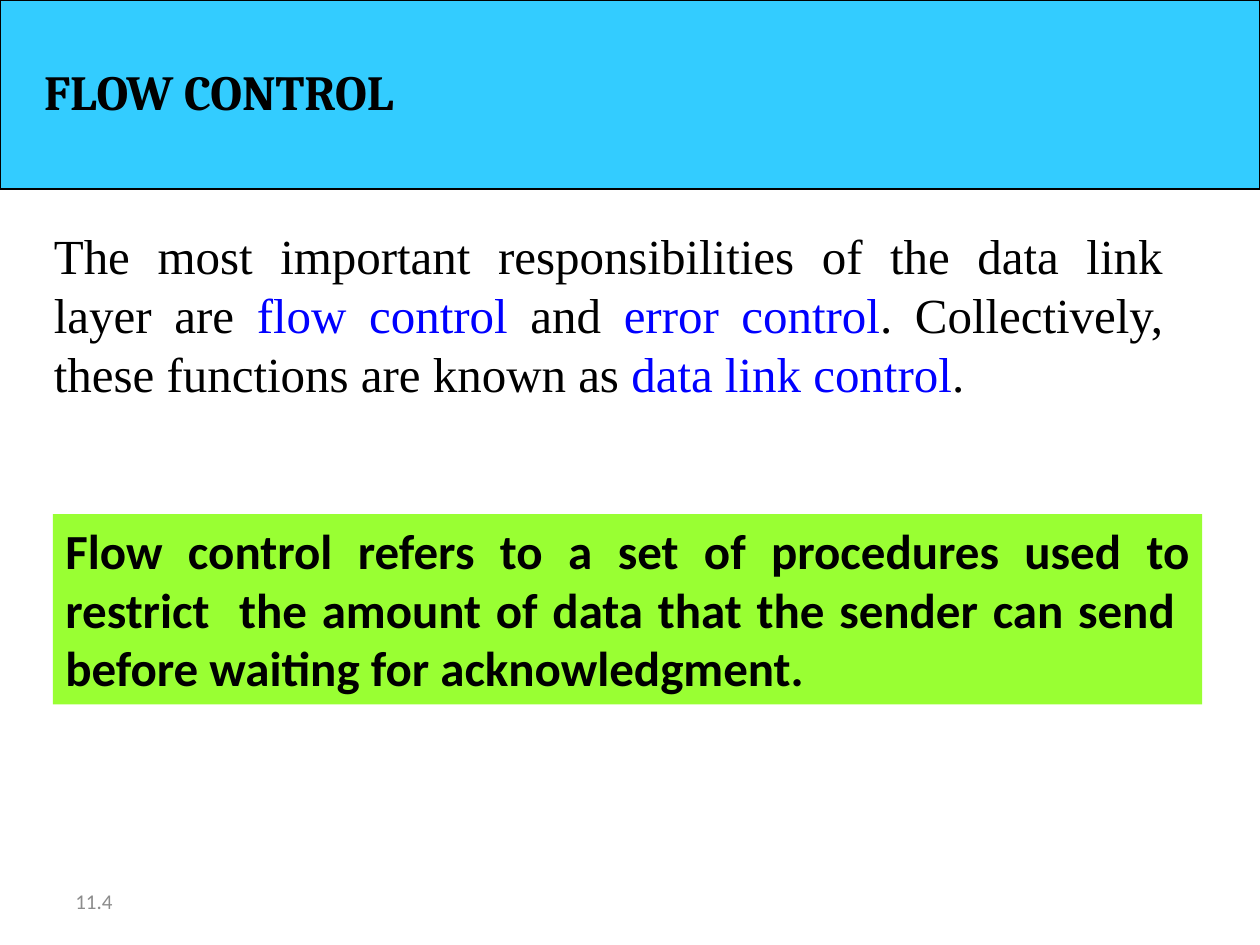
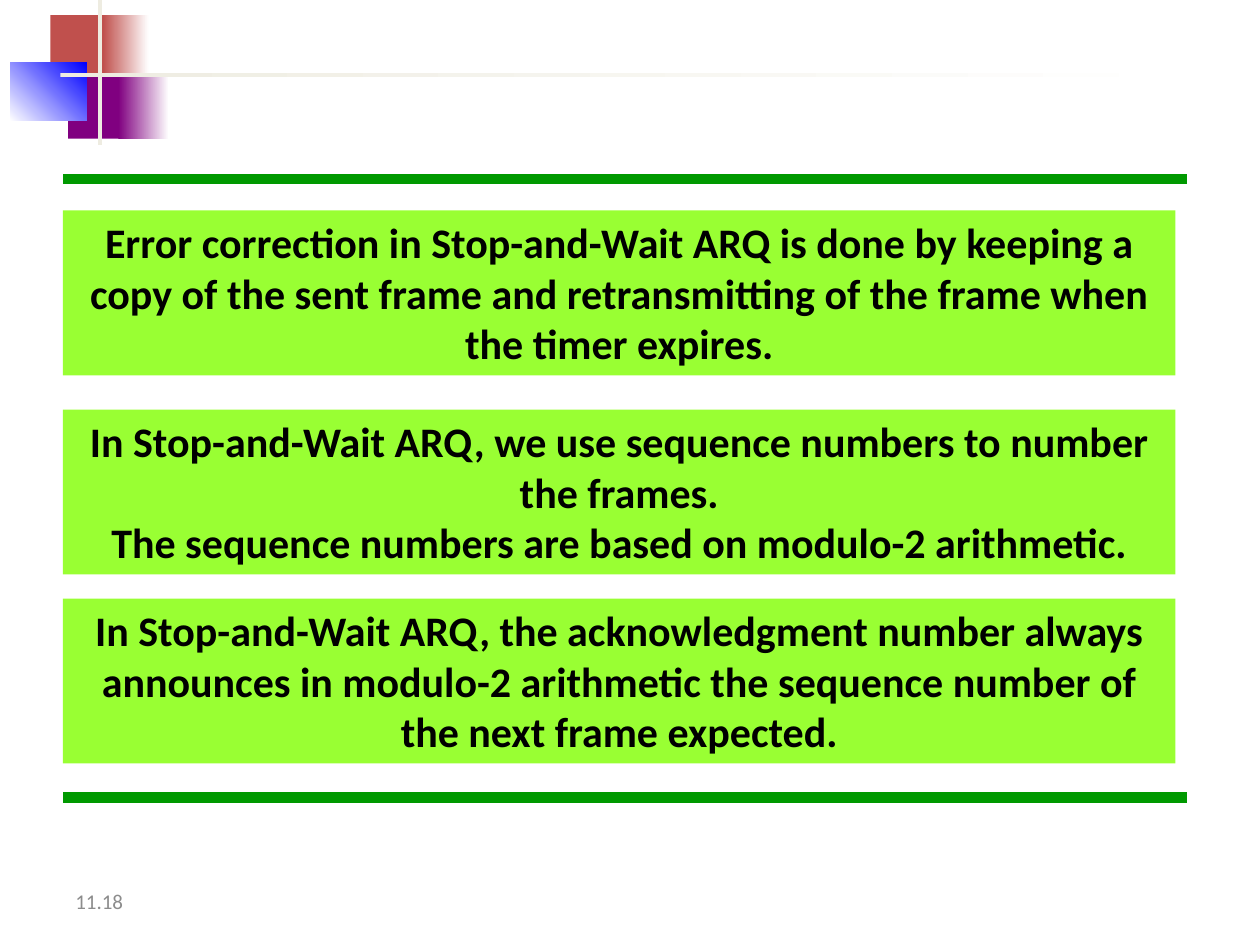
from lxml import etree
from pptx import Presentation
from pptx.dml.color import RGBColor
from pptx.enum.shapes import MSO_CONNECTOR, MSO_SHAPE
from pptx.enum.text import MSO_ANCHOR, MSO_AUTO_SIZE, PP_ALIGN
from pptx.oxml.ns import qn
from pptx.util import Inches, Pt

RECT, LINE = MSO_SHAPE.RECTANGLE, MSO_CONNECTOR.STRAIGHT
LEFT, CENTER, JUSTIFY = PP_ALIGN.LEFT, PP_ALIGN.CENTER, PP_ALIGN.JUSTIFY
TOP, MIDDLE = MSO_ANCHOR.TOP, MSO_ANCHOR.MIDDLE
GROW, FIXED = MSO_AUTO_SIZE.SHAPE_TO_FIT_TEXT, MSO_AUTO_SIZE.NONE
TITLE_ONLY, BLANK = 5, 6

BLACK = RGBColor(0, 0, 0)
WHITE = RGBColor(0xFF, 0xFF, 0xFF)
GREY = RGBColor(0x8C, 0x8C, 0x8C)
SKY = RGBColor(0x33, 0xCC, 0xFF)
BLUE = RGBColor(0, 0, 0xFF)
LIME = RGBColor(0x99, 0xFF, 0x33)
GREEN = RGBColor(0, 0x99, 0)
RED = RGBColor(0xC0, 0x50, 0x4D)
PURPLE = RGBColor(0x80, 0, 0x80)
CREAM = RGBColor(0xEE, 0xEC, 0xE1)

BODY, HEAD, SERIF = "Calibri", "Cambria", "Times New Roman"


def place(shape, box):
    shape.left, shape.top, shape.width, shape.height = map(Inches, box)


def write(shape, text, font=BODY, size=28, color=BLACK, key=BLUE, bold=False,
          align=LEFT, anchor=TOP, wrap=True, fit=GROW):
    """Fill a shape with text; words between asterisks take the key colour."""
    frame = shape.text_frame
    frame.word_wrap, frame.auto_size = wrap, fit
    frame.vertical_anchor = anchor
    for n, line in enumerate(text.split("\n")):
        para = frame.add_paragraph() if n else frame.paragraphs[0]
        para.alignment = align
        for i, part in enumerate(line.split("*")):
            run = para.add_run()
            run.text = part
            run.font.name, run.font.size = font, Pt(size)
            run.font.bold = bold
            run.font.color.rgb = key if i % 2 else color


def block(slide, box, fill, end=None, angle=0, edge=None):
    """Add a rectangle, shaded from fill to end when end is given."""
    shape = slide.shapes.add_shape(RECT, *map(Inches, box))
    shape.shadow.inherit = False
    if end is None:
        shape.fill.solid()
        shape.fill.fore_color.rgb = fill
    else:
        shape.fill.gradient()
        shape.fill.gradient_angle = angle
        for stop, color in zip(shape.fill.gradient_stops, (fill, end)):
            stop.color.rgb = color
    if edge is None:
        shape.line.fill.background()
    else:
        shape.line.color.rgb = edge
        shape.line.width = Pt(0.75)
    return shape


def note(slide, box, text, **form):
    write(block(slide, box, LIME), text, bold=True, **form)


def label(slide, box, text, **form):
    write(slide.shapes.add_textbox(*map(Inches, box)), text, **form)


def number(slide, text):
    label(slide, (0.5, 6.95, 2.33, 0.4), text, size=12, color=GREY,
          anchor=MIDDLE, fit=FIXED)


def header(slide, box, text):
    """Put the title on a band that fills the box."""
    x, y, _, _ = box
    band = block(slide, box, SKY, edge=BLACK)
    title = slide.shapes.title
    title.element.addprevious(band.element)
    place(title, (x + 0.25, y + 0.44, 3.11, 0.57))
    write(title, text, font=HEAD, bold=True, wrap=False)


def rule(slide, x, y, width):
    line = slide.shapes.add_connector(
        LINE, Inches(x), Inches(y), Inches(x + width), Inches(y))
    line.line.color.rgb = GREEN
    line.line.width = Pt(6)
    etree.SubElement(line.element.spPr, qn("a:effectLst"))


def emblem(slide, x, y):
    """Draw the corner squares and the crossing bars."""
    parts = [
        ((0.32, 0.12, 0.48, 0.52), RED, None, 0),
        ((0.74, 0.12, 0.36, 0.52), RED, WHITE, 0),
        ((0.46, 0.58, 0.46, 0.52), PURPLE, None, 0),
        ((0.86, 0.58, 0.4, 0.52), PURPLE, WHITE, 0),
        ((0, 0.5, 0.61, 0.46), WHITE, BLUE, 45),
        ((0.7, 0, 0.03, 1.15), CREAM, None, 0),
        ((0.4, 0.58, 9, 0.03), CREAM, WHITE, 0),
    ]
    for (dx, dy, w, h), fill, end, angle in parts:
        block(slide, (x + dx, y + dy, w, h), fill, end, angle)


def notes(slide, box, items):
    """Set notes, each at its own drop, between two rules."""
    x, y, w, h = box
    for edge in (y, y + h):
        rule(slide, x, edge, w)
    for drop, text in items:
        note(slide, (x, y + drop, w - 0.09, 1.31), text, size=24, align=CENTER)


def flow(deck):
    slide = deck.slides.add_slide(deck.slide_layouts[TITLE_ONLY])
    number(slide, "11.4")
    header(slide, (0, 0, 10, 1.5), "FLOW CONTROL")
    label(slide, (0.33, 1.74, 9, 1.5),
          "The most important responsibilities of the data link layer are "
          "*flow control* and *error control*. Collectively, these functions "
          "are known as *data link control*.",
          font=SERIF, align=JUSTIFY, anchor=MIDDLE)
    note(slide, (0.42, 4.08, 9.12, 1.51),
         "Flow control refers to a set of procedures used to restrict  the "
         "amount of data that the sender can send  before waiting for "
         "acknowledgment.", align=JUSTIFY)


def recap(deck):
    slide = deck.slides.add_slide(deck.slide_layouts[BLANK])
    number(slide, "11.18")
    emblem(slide, 0.08, 0)
    notes(slide, (0.5, 1.42, 8.92, 4.91), [
        (0.25, "Error correction in Stop-and-Wait ARQ is done by keeping a "
               "copy of the sent frame and retransmitting of the frame when "
               "the timer expires."),
        (1.83, "In Stop-and-Wait ARQ, we use sequence numbers to number the "
               "frames.\nThe sequence numbers are based on modulo-2 "
               "arithmetic."),
        (3.33, "In Stop-and-Wait ARQ, the acknowledgment number always "
               "announces in modulo-2 arithmetic the sequence number of the "
               "next frame expected."),
    ])


def main():
    deck = Presentation()
    deck.slide_width, deck.slide_height = Inches(10), Inches(7.5)
    flow(deck)
    recap(deck)
    deck.save("out.pptx")


if __name__ == "__main__":
    main()
